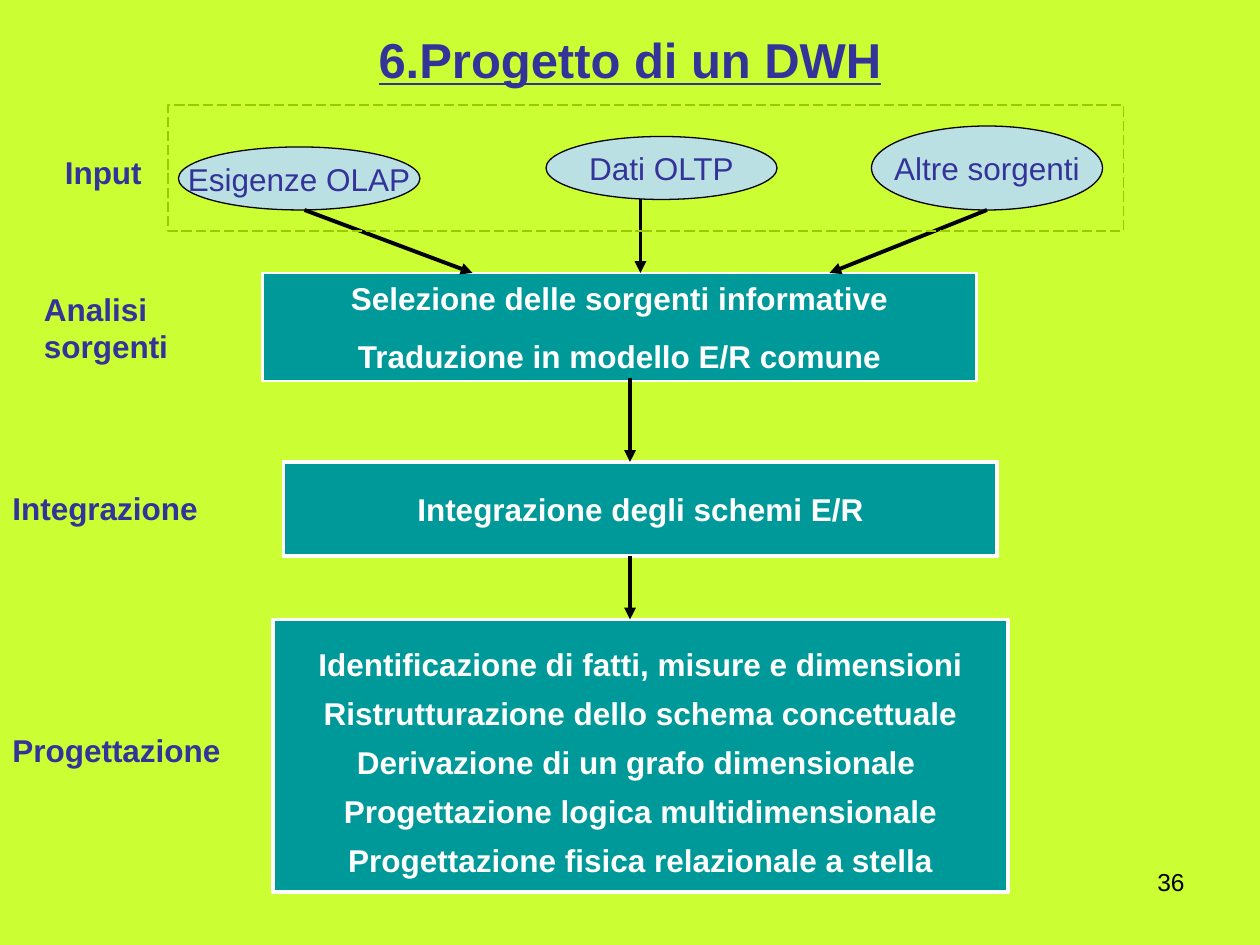
import pptx
import pptx.util
import pptx.dml.color
import pptx.enum.dml
import pptx.enum.shapes
import pptx.enum.text
import pptx.oxml.ns
import lxml.etree

RGBColor = pptx.dml.color.RGBColor
Shape = pptx.enum.shapes.MSO_SHAPE
Align = pptx.enum.text.PP_ALIGN
Anchor = pptx.enum.text.MSO_ANCHOR
Pt = pptx.util.Pt

LIME = RGBColor(0xCC, 0xFF, 0x33)
INDIGO = RGBColor(0x33, 0x33, 0x99)
TEAL = RGBColor(0x00, 0x99, 0x99)
PALE_BLUE = RGBColor(0xBB, 0xE0, 0xE3)
GREEN = RGBColor(0x99, 0xCC, 0x00)
WHITE = RGBColor(0xFF, 0xFF, 0xFF)
BLACK = RGBColor(0x00, 0x00, 0x00)

COLUMNS, ROWS = 120, 90
FONT = "Arial"
BODY_SIZE = 18

TITLE = ("6.Progetto di un DWH", (6, 0, 108, 11.25))
PAGE_NUMBER = ("36", (86, 82, 28, 6.25))
INPUT_FRAME = (16, 10, 91, 12)
SOURCES = [
    ("Esigenze OLAP", (17, 14, 23, 6)),
    ("Dati OLTP", (52, 13, 22, 6)),
    ("Altre sorgenti", (83, 12, 22, 8)),
]
STEPS = [
    (["Selezione delle sorgenti informative",
      "Traduzione in modello E/R comune"],
     (25, 26, 68, 10.3), {"line_width": 1.5, "anchor": Anchor.TOP, "wrap": True, "gap": 11.2}),
    (["Integrazione degli schemi E/R"], (27, 44, 68, 9), {}),
    (["Identificazione di fatti, misure e dimensioni",
      "Ristrutturazione dello schema concettuale",
      "Derivazione di un grafo dimensionale ",
      "Progettazione logica multidimensionale",
      "Progettazione fisica relazionale a stella"],
     (26, 59, 70, 26), {"spacing": 1.3}),
]
PHASES = [
    ("Input", (5, 14, 11, 4.8)),
    ("Analisi sorgenti", (3, 27, 17, 8.4)),
    ("Integrazione", (0, 46, 23, 4.8)),
    ("Progettazione", (0, 69, 25, 4.8)),
]
ARROWS = [
    (29, 20, 45, 26),
    (61, 19, 61, 26),
    (94, 20, 79, 26),
    (60, 36, 60, 44),
    (60, 53, 60, 59),
]

deck = pptx.Presentation()
deck.slide_width = pptx.util.Inches(10)
deck.slide_height = pptx.util.Inches(7.5)
page = deck.slides.add_slide(deck.slide_layouts[6])
page.background.fill.solid()
page.background.fill.fore_color.rgb = LIME


def place(area):
    steps = (deck.slide_width / COLUMNS, deck.slide_height / ROWS) * 2
    return [round(length * step) for length, step in zip(area, steps)]


def write(box, lines, color, size=BODY_SIZE, bold=False, underline=False,
          align=Align.CENTER, anchor=Anchor.MIDDLE, wrap=True, gap=0, spacing=None):
    frame = box.text_frame
    frame.word_wrap = wrap
    frame.vertical_anchor = anchor
    for index, line in enumerate(lines):
        para = frame.paragraphs[0] if index == 0 else frame.add_paragraph()
        para.alignment = align
        if index and gap:
            para.space_before = Pt(gap)
        if spacing:
            para.line_spacing = spacing
        span = para.add_run()
        span.text = line
        span.font.name = FONT
        span.font.size = Pt(size)
        span.font.bold = bold
        span.font.underline = underline
        span.font.color.rgb = color


def add_text(line, area, color, **style):
    write(page.shapes.add_textbox(*place(area)), [line], color, **style)


def add_outline(kind, area, fill, line, line_width):
    shape = page.shapes.add_shape(kind, *place(area))
    shape.shadow.inherit = False
    if fill is None:
        shape.fill.background()
    else:
        shape.fill.solid()
        shape.fill.fore_color.rgb = fill
    shape.line.color.rgb = line
    shape.line.width = Pt(line_width)
    return shape


def add_arrow(ends):
    arrow = page.shapes.add_connector(pptx.enum.shapes.MSO_CONNECTOR.STRAIGHT, *place(ends))
    arrow.line.color.rgb = BLACK
    arrow.line.width = Pt(2.25)
    qn = pptx.oxml.ns.qn
    lxml.etree.SubElement(arrow.line._get_or_add_ln(), qn("a:tailEnd"), type="triangle")
    lxml.etree.SubElement(arrow._element.spPr, qn("a:effectLst"))


add_text(*TITLE, INDIGO, size=28, bold=True, underline=True)
for name, area in SOURCES:
    ellipse = add_outline(Shape.OVAL, area, PALE_BLUE, BLACK, 0.75)
    write(ellipse, [name], INDIGO, wrap=False)
for lines, area, options in STEPS:
    style = {"line_width": 2.25, "wrap": False, **options}
    step = add_outline(Shape.RECTANGLE, area, TEAL, WHITE, style.pop("line_width"))
    write(step, lines, WHITE, bold=True, **style)
for ends in ARROWS:
    add_arrow(ends)
frame = add_outline(Shape.RECTANGLE, INPUT_FRAME, None, GREEN, 0.75)
frame.line.dash_style = pptx.enum.dml.MSO_LINE.LONG_DASH
for name, area in PHASES:
    add_text(name, area, INDIGO, bold=True, align=Align.LEFT, anchor=Anchor.TOP)
add_text(*PAGE_NUMBER, BLACK, size=14, align=Align.RIGHT, anchor=Anchor.TOP)

deck.save("out.pptx")
